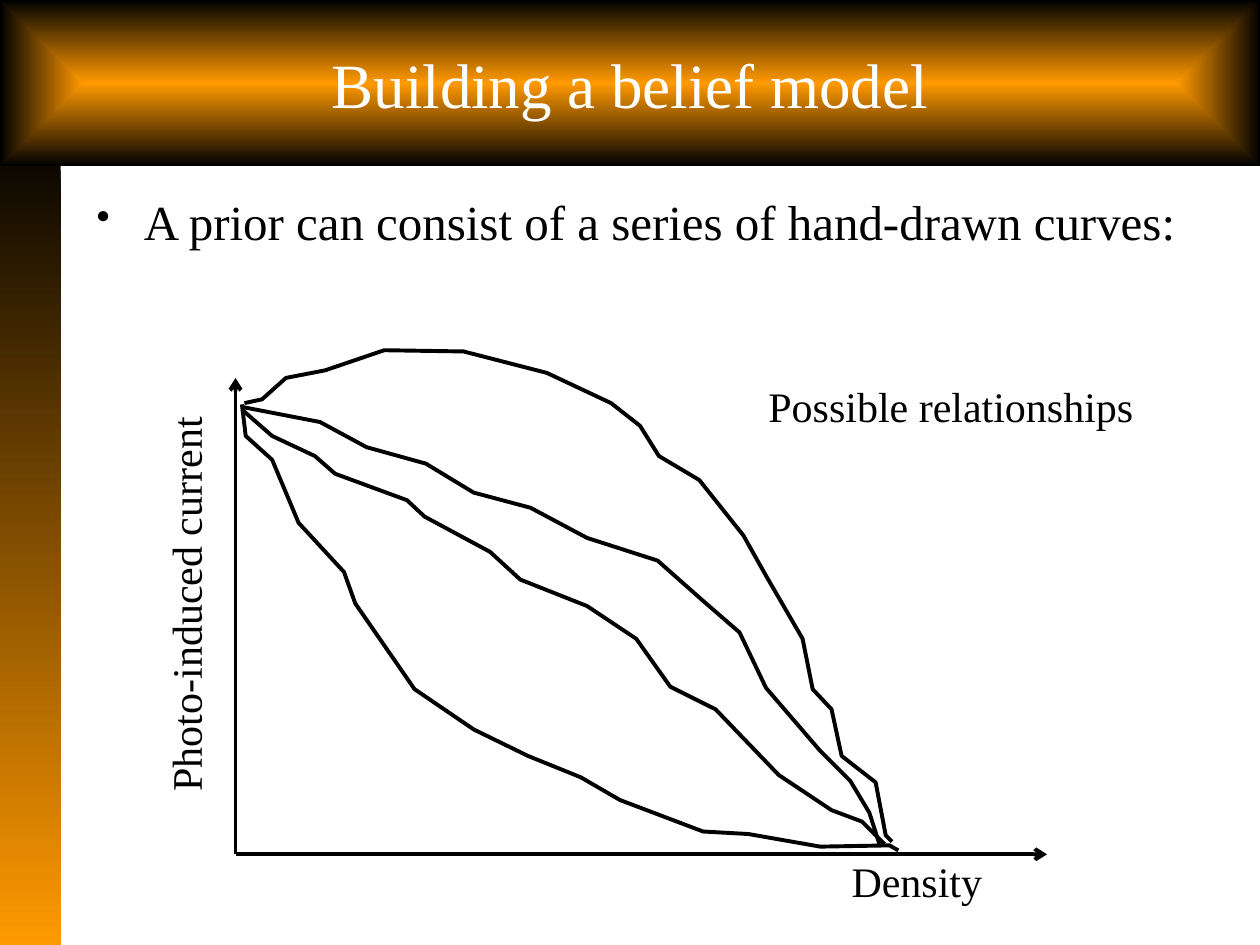
from pptx import Presentation
from pptx.dml.color import RGBColor
from pptx.enum import shapes as es, text as et
from pptx.oxml import parse_xml
from pptx.oxml.ns import nsdecls
from pptx.util import Pt

BLACK = RGBColor(0, 0, 0)
WHITE = RGBColor(255, 255, 255)
DUSK = RGBColor(0x0D, 0x08, 0x00)
AMBER = RGBColor(0xFF, 0x99, 0x00)
FONT = "Times New Roman"
STROKE = 2.25
UNIT = 0.72  # curve points are in hundredths of an inch

LOW_MID = [(192, 325), (216, 346), (250, 362), (266, 376), (323, 397),
           (337, 410), (389, 438), (413, 460), (466, 481), (505, 507),
           (532, 545), (568, 563), (618, 615), (660, 643), (684, 652),
           (702, 670)]
HIGH_MID = [(192, 323), (254, 335), (291, 355), (338, 368), (376, 391),
            (421, 403), (466, 427), (522, 445), (557, 476), (587, 502),
            (608, 546), (651, 596), (675, 620), (690, 645), (698, 670)]
LOWEST = [(192, 321), (195, 346), (216, 365), (237, 415), (273, 454),
          (282, 479), (329, 547), (376, 579), (419, 600), (461, 617),
          (492, 635), (558, 660), (594, 662), (651, 672), (706, 671),
          (713, 675)]
HIGHEST = [(194, 320), (208, 317), (227, 300), (258, 294), (305, 278),
           (368, 279), (434, 296), (485, 320), (508, 338), (523, 362),
           (555, 381), (590, 425), (608, 457), (637, 507), (645, 547),
           (660, 563), (668, 600), (695, 621), (703, 663), (708, 668)]


def block(slide, box, inner, outer, angle=None):
    """Add a rectangle with a linear gradient, or one from its centre outwards."""
    rect = slide.shapes.add_shape(es.MSO_SHAPE.RECTANGLE, *map(Pt, box))
    rect.shadow.inherit = False
    rect.line.fill.background()
    rect.fill.gradient()
    for stop, tint, place in zip(rect.fill.gradient_stops, (inner, outer), (0, 1)):
        stop.color.rgb, stop.position = tint, place
    if angle is not None:
        rect.fill.gradient_angle = angle
    else:
        lin = rect._element.spPr.find(".//{*}lin")
        lin.getparent().replace(lin, parse_xml(
            f'<a:path {nsdecls("a")} path="shape">'
            '<a:fillToRect l="50000" t="50000" r="50000" b="50000"/></a:path>'))
    return rect


def write(shape, words, size=24, color=BLACK, align=et.PP_ALIGN.LEFT,
          anchor=et.MSO_ANCHOR.TOP, wrap=False, bullet=False):
    frame = shape.text_frame
    frame.word_wrap = wrap
    frame.vertical_anchor = anchor
    if not wrap:
        frame.auto_size = et.MSO_AUTO_SIZE.SHAPE_TO_FIT_TEXT
    para = frame.paragraphs[0]
    para.alignment = align
    run = para.add_run()
    run.text = words
    run.font.name, run.font.size = FONT, Pt(size)
    run.font.color.rgb = color
    if bullet:
        para.space_before = Pt(size * 0.2)
        props = para._p.get_or_add_pPr()
        props.set("marL", str(Pt(27)))
        props.set("indent", str(-Pt(27)))
        props.append(parse_xml(f'<a:buSzPct {nsdecls("a")} val="80000"/>'))
        props.append(parse_xml(f'<a:buChar {nsdecls("a")} char="•"/>'))


def label(slide, box, words, turn=0, **style):
    note = slide.shapes.add_textbox(*map(Pt, box))
    note.rotation = turn
    write(note, words, **style)


def pen(shape):
    shape.line.color.rgb = BLACK
    shape.line.width = Pt(STROKE)


def axis(slide, start, end):
    line = slide.shapes.add_connector(
        es.MSO_CONNECTOR.STRAIGHT, *map(Pt, start + end))
    pen(line)
    props = line._element.spPr
    props.get_or_add_ln().append(
        parse_xml(f'<a:tailEnd {nsdecls("a")} type="arrow"/>'))
    props.append(parse_xml(f'<a:effectLst {nsdecls("a")}/>'))


def curve(slide, points):
    trace = slide.shapes.build_freeform(*points[0], scale=Pt(UNIT))
    trace.add_line_segments(points[1:], close=False)
    shape = trace.convert_to_shape()
    shape.shadow.inherit = False
    shape.fill.background()
    pen(shape)


def main():
    deck = Presentation()
    deck.slide_width, deck.slide_height = Pt(720), Pt(540)
    slide = deck.slides.add_slide(deck.slide_layouts[6])

    block(slide, (0, 94.3, 34.6, 445.7), DUSK, AMBER, angle=270)
    title = block(slide, (0, 0, 720, 95), AMBER, BLACK)
    write(title, "Building a belief model", size=36, color=WHITE, wrap=True,
          align=et.PP_ALIGN.CENTER, anchor=et.MSO_ANCHOR.MIDDLE)
    label(slide, (48.2, 105.8, 660.2, 83.5),
          "A prior can consist of a series of hand-drawn curves:",
          size=28, wrap=True, bullet=True)

    origin = (134.6, 488.2)
    axis(slide, origin, (origin[0], 216))
    axis(slide, origin, (598.3, origin[1]))
    label(slide, (479.5, 485.3, 90, 36), "Density")
    label(slide, (-9.4, 326.2, 230.4, 36), "Photo-induced current", turn=270)
    for points in (LOW_MID, HIGH_MID, LOWEST, HIGHEST):
        curve(slide, points)
    label(slide, (432, 213.8, 225.4, 36), "Possible relationships")
    deck.save("out.pptx")


if __name__ == "__main__":
    main()
